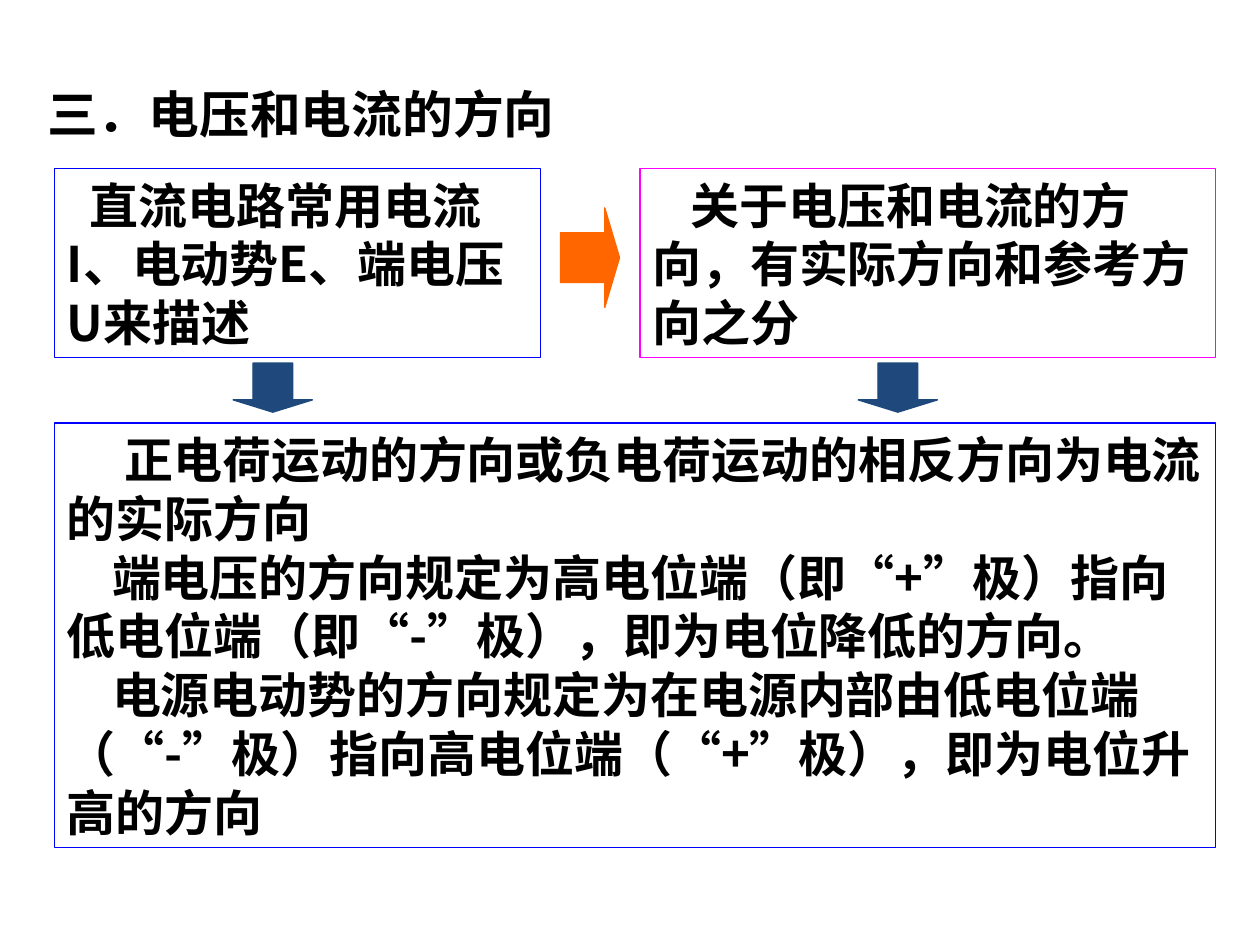
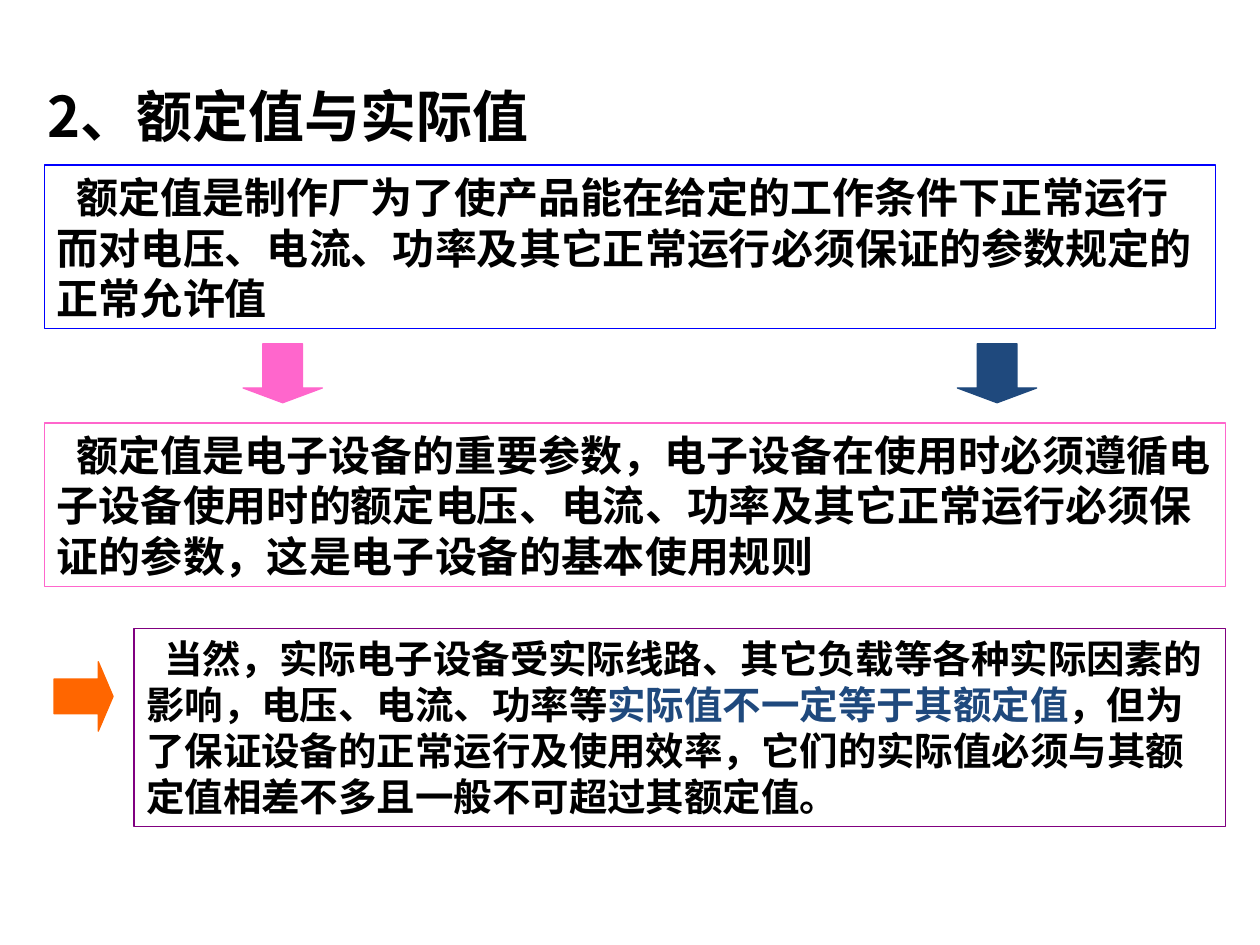
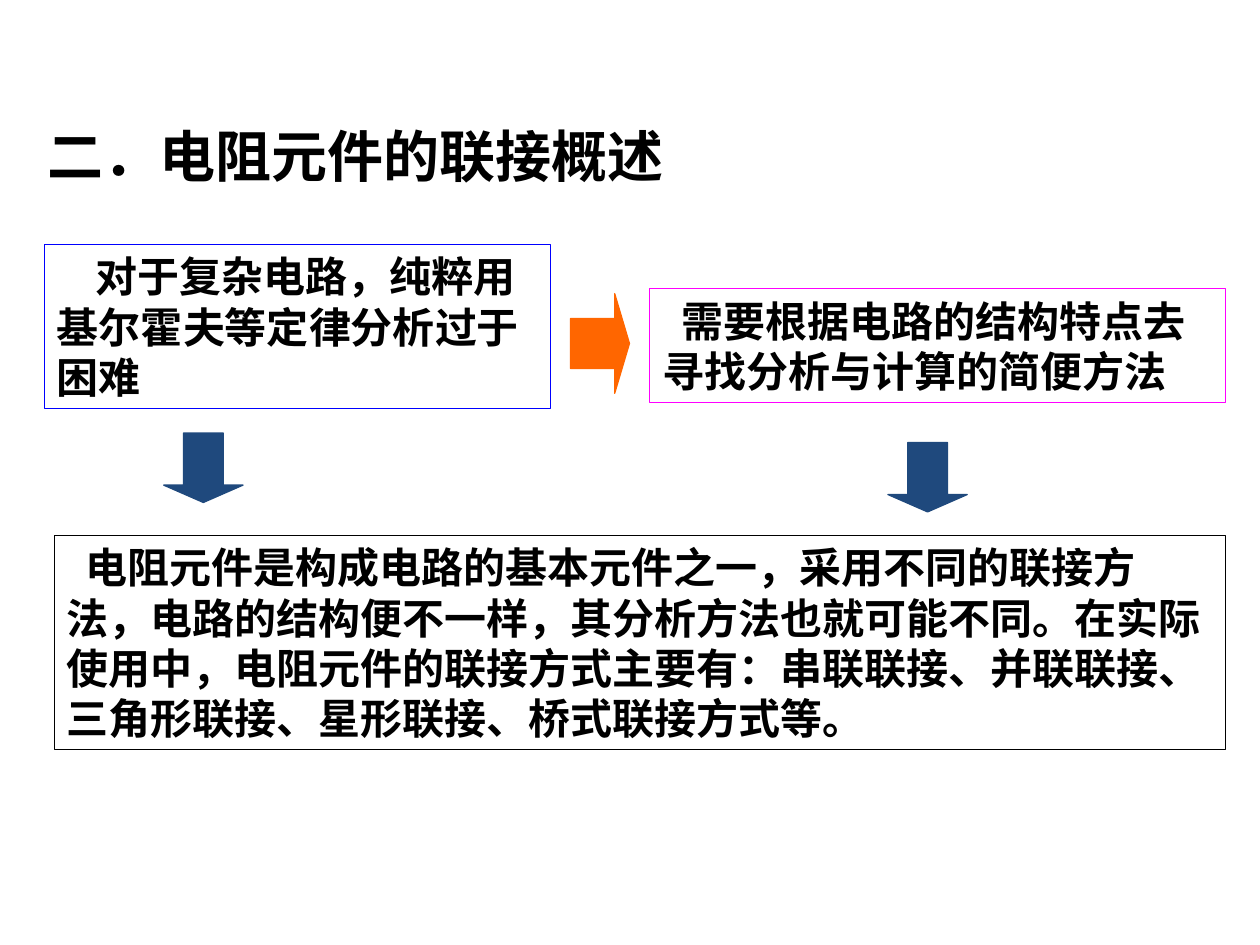
"""Build three slides on circuit quantities, rated values and resistor connections."""
from pptx import Presentation
from pptx.dml.color import RGBColor
from pptx.enum import lang, shapes, text
from pptx.util import Cm, Pt
from lxml import etree

FONT = "Noto Sans CJK SC"
A = "{http://schemas.openxmlformats.org/drawingml/2006/main}"
BLUE, MAGENTA, PINK, PURPLE = "0000FF", "FF00FF", "FF66CC", "800080"
BLACK, NAVY, ORANGE = "000000", "1F497D", "FF6600"
RIGHT, DOWN = shapes.MSO_SHAPE.RIGHT_ARROW, shapes.MSO_SHAPE.DOWN_ARROW
rgb = RGBColor.from_string


def write(sp, paragraphs, size=24, font=FONT, color=BLACK, mark="", mark_color=NAVY, inset=0.13):
    """Fill sp with (first-line indent, text) paragraphs, colouring the marked words."""
    tf = sp.text_frame
    tf.word_wrap = True
    tf.auto_size = text.MSO_AUTO_SIZE.NONE
    tf.vertical_anchor = text.MSO_ANCHOR.TOP
    tf.margin_left = tf.margin_right = Cm(0.25)
    tf.margin_top, tf.margin_bottom = Cm(inset), Cm(0.13)
    for i, (indent, words) in enumerate(paragraphs):
        p = tf.add_paragraph() if i else tf.paragraphs[0]
        p.alignment = text.PP_ALIGN.LEFT
        p.line_spacing = Pt(1.2 * size)
        pPr = p._p.get_or_add_pPr()
        pPr.set("indent", str(Cm(indent)))
        pPr.set("hangingPunct", "0")
        before, marked, after = words.partition(mark) if mark else (words, "", "")
        for part, part_color in ((before, color), (marked, mark_color), (after, color)):
            if part:
                r = p.add_run()
                r.text = part
                r.font.size = Pt(size)
                r.font.bold = True
                r.font.name = font
                r.font.color.rgb = rgb(part_color)
                r.font.language_id = lang.MSO_LANGUAGE_ID.SIMPLIFIED_CHINESE
                etree.SubElement(r._r.rPr, A + "ea", typeface=FONT)


def draw(s, kind, at, line, fill=None):
    """Add a preset shape with a thin outline and an optional fill."""
    sp = s.shapes.add_shape(kind, *map(Cm, at))
    sp.shadow.inherit = False
    sp.line.color.rgb = rgb(line)
    sp.line.width = Pt(0.75)
    if fill:
        sp.fill.solid()
        sp.fill.fore_color.rgb = rgb(fill)
    else:
        sp.fill.background()
    return sp


slides = [
    dict(
        title=("三．电压和电流的方向", 1.12, 29, "Calibri", 0.55),
        arrows=[
            (RIGHT, (11.3, 4.19, 1.19, 2.01), ORANGE),
            (DOWN, (17.3, 7.32, 1.6, 0.99), NAVY),
            (DOWN, (4.7, 7.32, 1.6, 0.99), NAVY),
        ],
        boxes=[
            ((1.1, 3.4, 9.8, 3.81), BLUE, dict(size=28, paragraphs=[
                (0.46, "直流电路常用电流I、电动势E、端电压U来描述")])),
            ((12.9, 3.4, 11.61, 3.81), MAGENTA, dict(size=28, paragraphs=[
                (0.77, "关于电压和电流的方向，有实际方向和参考方向之分")])),
            ((1.1, 8.53, 23.4, 8.56), BLUE, dict(size=28, paragraphs=[
                (1.16, "正电荷运动的方向或负电荷运动的相反方向为电流的实际方向"),
                (0.91, "端电压的方向规定为高电位端（即“+”极）指向低电位端（即“-”极），即为电位降低的方向。"),
                (0.91, "电源电动势的方向规定为在电源内部由低电位端（“-”极）指向高电位端（“+”极），即为电位升高的方向")])),
        ],
    ),
    dict(
        title=("2、额定值与实际值", 1.32, 32, FONT, 0.33),
        arrows=[
            (DOWN, (19.3, 6.93, 1.6, 1.19), NAVY),
            (DOWN, (4.9, 6.93, 1.6, 1.19), PINK),
            (RIGHT, (1.09, 13.34, 1.19, 1.4), ORANGE),
        ],
        boxes=[
            ((0.9, 3.33, 23.6, 3.3), BLUE, dict(font="Arial", paragraphs=[
                (0.39, "额定值是制作厂为了使产品能在给定的工作条件下正常运行而对电压、电流、功率及其它正常运行必须保证的参数规定的正常允许值")])),
            ((0.9, 8.53, 23.8, 3.3), PINK, dict(font="Arial", paragraphs=[
                (0.39, "额定值是电子设备的重要参数，电子设备在使用时必须遵循电子设备使用时的额定电压、电流、功率及其它正常运行必须保证的参数，这是电子设备的基本使用规则")])),
            ((2.7, 12.67, 22, 3.99), PURPLE, dict(size=22, font="Arial", mark="实际值不一定等于其额定值", paragraphs=[
                (0.36, "当然，实际电子设备受实际线路、其它负载等各种实际因素的影响，电压、电流、功率等实际值不一定等于其额定值，但为了保证设备的正常运行及使用效率，它们的实际值必须与其额定值相差不多且一般不可超过其额定值。")])),
        ],
    ),
    dict(
        title=("二．电阻元件的联接概述", 2.13, 32, "Calibri", 0.33),
        arrows=[
            (RIGHT, (11.5, 5.92, 1.19, 2.01), ORANGE),
            (DOWN, (3.3, 8.73, 1.6, 1.4), NAVY),
            (DOWN, (17.9, 8.92, 1.6, 1.4), NAVY),
        ],
        boxes=[
            ((0.9, 4.93, 10.2, 3.3), BLUE, dict(font="Arial", paragraphs=[
                (0.78, "对于复杂电路，纯粹用基尔霍夫等定律分析过于困难")])),
            ((13.1, 5.82, 11.61, 2.29), MAGENTA, dict(font="Arial", paragraphs=[
                (0.38, "需要根据电路的结构特点去寻找分析与计算的简便方法")])),
            ((1.1, 10.79, 23.6, 4.32), BLACK, dict(font="Arial", paragraphs=[
                (0.38, "电阻元件是构成电路的基本元件之一，采用不同的联接方法，电路的结构便不一样，其分析方法也就可能不同。在实际使用中，电阻元件的联接方式主要有：串联联接、并联联接、三角形联接、星形联接、桥式联接方式等。")])),
        ],
    ),
]

prs = Presentation()
prs.slide_width, prs.slide_height = Cm(25.4), Cm(19.05)
for content in slides:
    s = prs.slides.add_slide(prs.slide_layouts[6])
    title, top, size, font, inset = content["title"]
    sp = s.shapes.add_textbox(Cm(0.7), Cm(top), Cm(22.86), Cm(2))
    write(sp, [(0, title)], size=size, font=font, inset=inset)
    for kind, at, color in content["arrows"]:
        sp = draw(s, kind, at, color, fill=color)
        sp.adjustments[0], sp.adjustments[1] = 0.5, 0.25
    for at, color, body in content["boxes"]:
        write(draw(s, shapes.MSO_SHAPE.RECTANGLE, at, color), **body)
prs.save("out.pptx")
